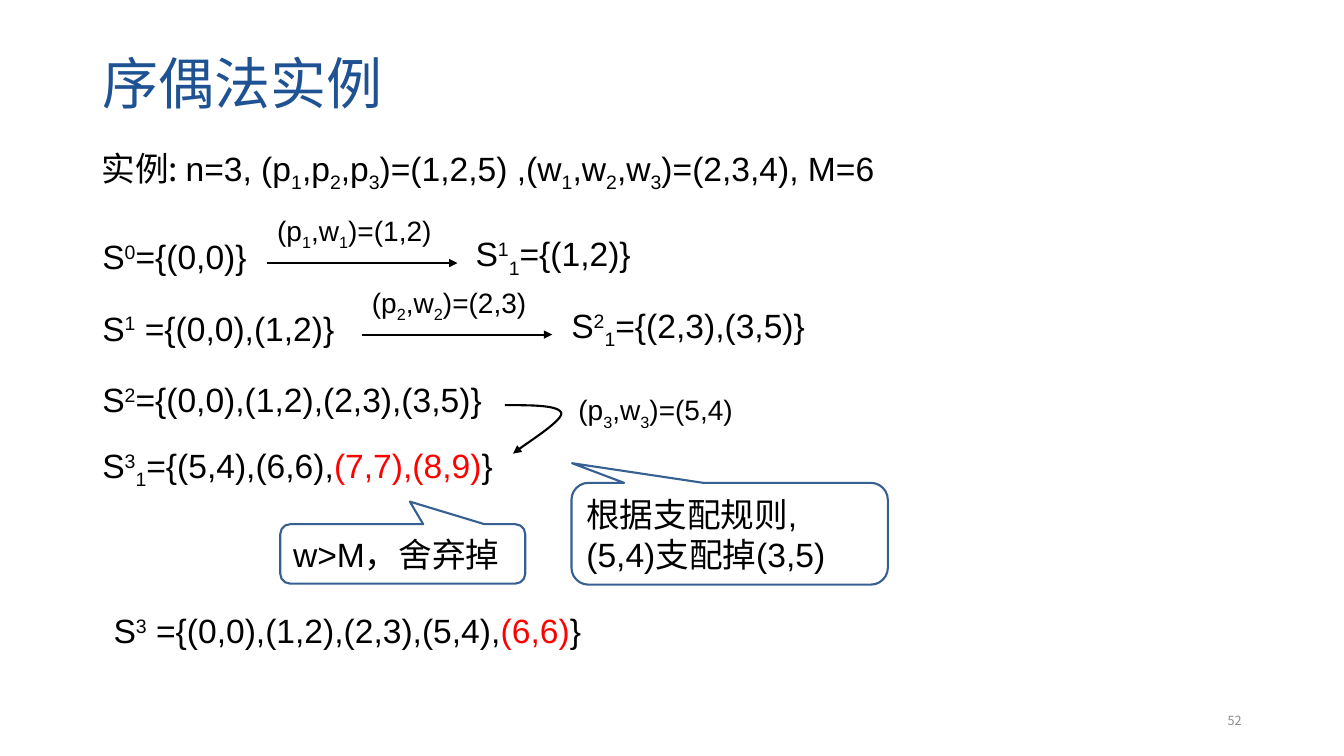
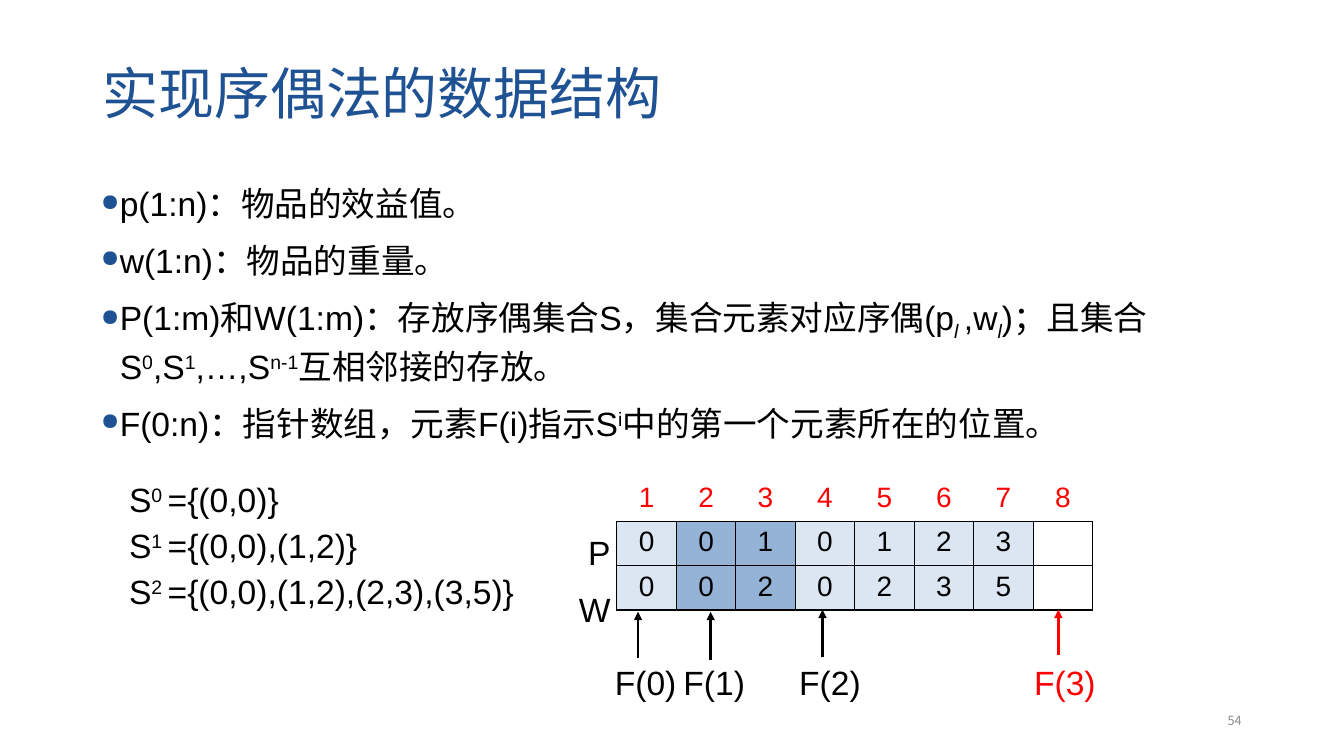
"""Build two slides on the ordered-pair method for the knapsack problem."""
from lxml.etree import SubElement
from pptx import Presentation
from pptx.dml.color import RGBColor
from pptx.enum.shapes import MSO_CONNECTOR, MSO_SHAPE
from pptx.enum.text import MSO_ANCHOR, PP_ALIGN
from pptx.oxml import parse_xml
from pptx.oxml.ns import nsdecls, qn
from pptx.util import Pt

INK = {"text": "000000", "title": "1E5293", "red": "FF0000", "page": "8C8C8C",
       "edge": "376092", "white": "FFFFFF", "pale": "DCE6F2", "mid": "95B3D7"}
SANS, HAN = "Arial", "Noto Sans CJK SC"
MARKS = {"^": "sup", "~": "sub", "#": "red", "/": "ital", "@": "han"}
TIGHT = 2.9

TITLES = [("序偶法实例", (66, 21, 648, 81), "52"),
          ("实现序偶法的数据结构", (66, 16.5, 828, 104.5), "54")]

SETS = [
    ("@实例: @n=3, (p~1~,p~2~,p~3~)=(1,2,5) ,(w~1~,w~2~,w~3~)=(2,3,4), M=6",
     65.5, 103.7, 656),
    ("S^0^={(0,0)}", 66, 165, 136),
    ("S^1^~1~={(1,2)}", 332.6, 165, 153),
    ("S^1^ ={(0,0),(1,2)}", 66, 216, 204),
    ("S^2^~1~={(2,3),(3,5)}", 401, 216, 204),
    ("S^2^={(0,0),(1,2),(2,3),(3,5)}", 66, 267, 366),
    ("S^3^~1~={(5,4),(6,6),#(7,7),(8,9)#}", 66, 316, 329),
    ("S^3^ ={(0,0),(1,2),(2,3),(5,4),#(6,6)#}", 74, 432, 425),
]
STEPS = [("(p~1~,w~1~)=(1,2)", 190.8, 150.5),
         ("(p~2~,w~2~)=(2,3)", 258.5, 201.6),
         ("(p~3~,w~3~)=(5,4)", 406, 278.6)]
HOOK = [[(360.7, 289.4), (380, 289.4), (399.6, 289.4), (401, 295.2)],
        [(401, 295.2), (401.8, 301), (372.2, 319), (366.5, 324)]]
NOTES = [("w>M，@舍弃掉@", (200.2, 374.4, 175, 42.5), (0.029, -0.879)),
         ("根据支配规则, (5,4)支配掉(3,5)", (408.2, 344.9, 226, 72.7),
          (-0.498, -0.693))]

POINTS = ["p(1:n)：物品的效益值。",
          "w(1:n)：物品的重量。",
          "P(1:m)和W(1:m)：存放序偶集合S，集合元素对应序偶(p~/l /~,w~/l/~)"
          "；且集合S^0^,S^1^,…,S^n-1^互相邻接的存放。",
          "F(0:n)：指针数组，元素F(i)指示S^i^中的第一个元素所在的位置。"]
LISTS = ["S^0 ^={(0,0)}", "S^1 ^={(0,0),(1,2)}",
         "S^2 ^={(0,0),(1,2),(2,3),(3,5)}"]
GRID = ["12345678", "0010123", "0020235"]
FILLS = ["pale", "mid", "mid", "pale", "pale", "pale", "pale"]
ROWS = [("P", 379.5), ("W", 420)]
HEADS = [("F(0)", 436.3, 455.8, 470, 437, "text"),
         ("F(1)", 485.3, 507.6, 471.5, 437, "text"),
         ("F(2)", 568, 587.5, 469.5, 435.5, "text"),
         ("F(3)", 735.8, 756, 468, 435.5, "red")]


def shade(name):
    return RGBColor.from_string(INK[name])


def write(par, text, size, ink="text", face=SANS):
    """Add runs, where marks switch raised, lowered, red, italic or Han type."""
    on, part = set(), ""
    for sign in text + "\0":
        if sign not in MARKS and sign != "\0":
            part += sign
            continue
        if part:
            run = par.add_run()
            run.text = part
            name = HAN if "han" in on else face
            look = {"size": Pt(size), "name": name, "italic": "ital" in on}
            for key, val in look.items():
                setattr(run.font, key, val)
            run.font.color.rgb = shade("red" if "red" in on else ink)
            prop = run._r.get_or_add_rPr()
            SubElement(prop, qn("a:ea")).set("typeface", name)
            if on & {"sup", "sub"}:
                prop.set("baseline", "30000" if "sup" in on else "-25000")
            part = ""
        on ^= {MARKS.get(sign)}


def fill(frame, lines, size=24, ink="text", face=SANS, pad=(7.2, 3.6),
         anchor=MSO_ANCHOR.MIDDLE, dot=False, gap=0, **form):
    look = {"word_wrap": True, "vertical_anchor": anchor,
            "margin_left": Pt(pad[0]), "margin_right": Pt(pad[0]),
            "margin_top": Pt(pad[1]), "margin_bottom": Pt(pad[1])}
    for key, val in look.items():
        setattr(frame, key, val)
    for num, line in enumerate(lines):
        par = frame.add_paragraph() if num else frame.paragraphs[0]
        if dot:
            bullet(par)
        base = {"alignment": PP_ALIGN.LEFT, "space_before": Pt(gap if num else 0)}
        for key, val in {**base, **form}.items():
            setattr(par, key, val)
        write(par, line, size, ink, face)


def bullet(par):
    prop = par._p.get_or_add_pPr()
    prop.set("marL", str(Pt(13.5)))
    prop.set("indent", str(-Pt(13.5)))
    color = SubElement(prop, qn("a:buClr"))
    SubElement(color, qn("a:srgbClr")).set("val", INK["title"])
    SubElement(prop, qn("a:buSzPct")).set("val", "70000")
    SubElement(prop, qn("a:buChar")).set("char", "●")


def label(slide, lines, box, **form):
    shape = slide.shapes.add_textbox(*map(Pt, box))
    fill(shape.text_frame, lines, **form)


def tip(shape, ink, width):
    shape.line.color.rgb = shade(ink)
    shape.line.width = Pt(width)
    SubElement(shape.line._get_or_add_ln(), qn("a:tailEnd")).set("type", "triangle")


def arrow(slide, start, end, ink="text", width=1.5):
    line = slide.shapes.add_connector(MSO_CONNECTOR.STRAIGHT,
                                      *map(Pt, (*start, *end)))
    tip(line, ink, width)
    SubElement(line._element.spPr, qn("a:effectLst"))


def curve(a, b, c, d, count=16):
    for num in range(1, count + 1):
        t = num / count
        u = 1 - t
        yield tuple(Pt(u**3 * p + 3 * u*u*t * q + 3 * u*t*t * r + t**3 * s)
                    for p, q, r, s in zip(a, b, c, d))


def hook(slide):
    path = slide.shapes.build_freeform(*map(Pt, HOOK[0][0]))
    path.add_line_segments([dot for arc in HOOK for dot in curve(*arc)],
                           close=False)
    shape = path.convert_to_shape()
    shape.shadow.inherit = False
    shape.fill.background()
    tip(shape, "text", 1.5)


def callout(slide, text, box, tail):
    shape = slide.shapes.add_shape(MSO_SHAPE.ROUNDED_RECTANGULAR_CALLOUT,
                                   *map(Pt, box))
    for num, val in enumerate((*tail, 0.167)):
        shape.adjustments[num] = val
    shape.shadow.inherit = False
    shape.fill.solid()
    shape.fill.fore_color.rgb = shade("white")
    shape.line.color.rgb = shade("edge")
    shape.line.width = Pt(1.5)
    fill(shape.text_frame, [text])


def border(cell, sides):
    prop = cell._tc.get_or_add_tcPr()
    for num, side in enumerate(sides):
        prop.insert(num, parse_xml(
            f'<a:ln{side} {nsdecls("a")} w="{Pt(1)}"><a:solidFill>'
            f'<a:srgbClr val="{INK["text"]}"/></a:solidFill></a:ln{side}>'))


def table(slide):
    wide, high = 42.5, 31.7
    rows, cols = len(GRID), len(GRID[0])
    grid = slide.shapes.add_table(rows, cols, Pt(440.6), Pt(340.6),
                                  Pt(wide * cols), Pt(high * rows)).table
    grid.first_row = grid.horz_banding = False
    for col in grid.columns:
        col.width = Pt(wide)
    for r, line in enumerate(GRID):
        grid.rows[r].height = Pt(high)
        for c in range(cols):
            cell = grid.cell(r, c)
            if r and c < len(FILLS):
                cell.fill.solid()
                cell.fill.fore_color.rgb = shade(FILLS[c])
            else:
                cell.fill.background()
            border(cell, "LRTB" if r else "B")
            cell.vertical_anchor = MSO_ANCHOR.MIDDLE
            for side in ("left", "right", "top", "bottom"):
                setattr(cell, f"margin_{side}", Pt(TIGHT))
            par = cell.text_frame.paragraphs[0]
            par.alignment, par.line_spacing = PP_ALIGN.CENTER, 0.9
            write(par, line[c:c + 1], 20, "text" if r else "red")


def start(deck, title, box, page):
    slide = deck.slides.add_slide(deck.slide_layouts[6])
    label(slide, [title], box, size=40, ink="title", line_spacing=0.9)
    label(slide, [page], (678, 500.5, 216, 28.8), size=9, ink="page",
          face=HAN, alignment=PP_ALIGN.RIGHT)
    return slide


def example(slide):
    for text, x, y, w in SETS:
        label(slide, [text], (x, y, w, 36))
    for text, x, y in STEPS:
        label(slide, [text], (x, y, 142, 31.5), size=20)
    for _, x, y in STEPS[:2]:
        arrow(slide, (x, y + 37.4), (x + 136, y + 37.4))
    hook(slide)
    for note in NOTES:
        callout(slide, *note)


def storage(slide):
    pad = (TIGHT, TIGHT)
    label(slide, POINTS, (65, 124.6, 828, 343), anchor=MSO_ANCHOR.TOP,
          dot=True, gap=8.5, line_spacing=1.1)
    label(slide, LISTS, (89.3, 339, 283, 98), pad=pad,
          anchor=MSO_ANCHOR.TOP, gap=4.2)
    table(slide)
    for text, y in ROWS:
        label(slide, [text], (408, y, 31, 30), pad=pad,
              alignment=PP_ALIGN.RIGHT)
    for text, x, mid, low, top, ink in HEADS:
        label(slide, [text], (x, 470, 53.3, 34), pad=pad, ink=ink)
        arrow(slide, (mid, low), (mid, top), ink, 2)


def main():
    deck = Presentation()
    deck.slide_width, deck.slide_height = Pt(960), Pt(540)
    for head, draw in zip(TITLES, (example, storage)):
        draw(start(deck, *head))
    deck.save("out.pptx")


if __name__ == "__main__":
    main()
